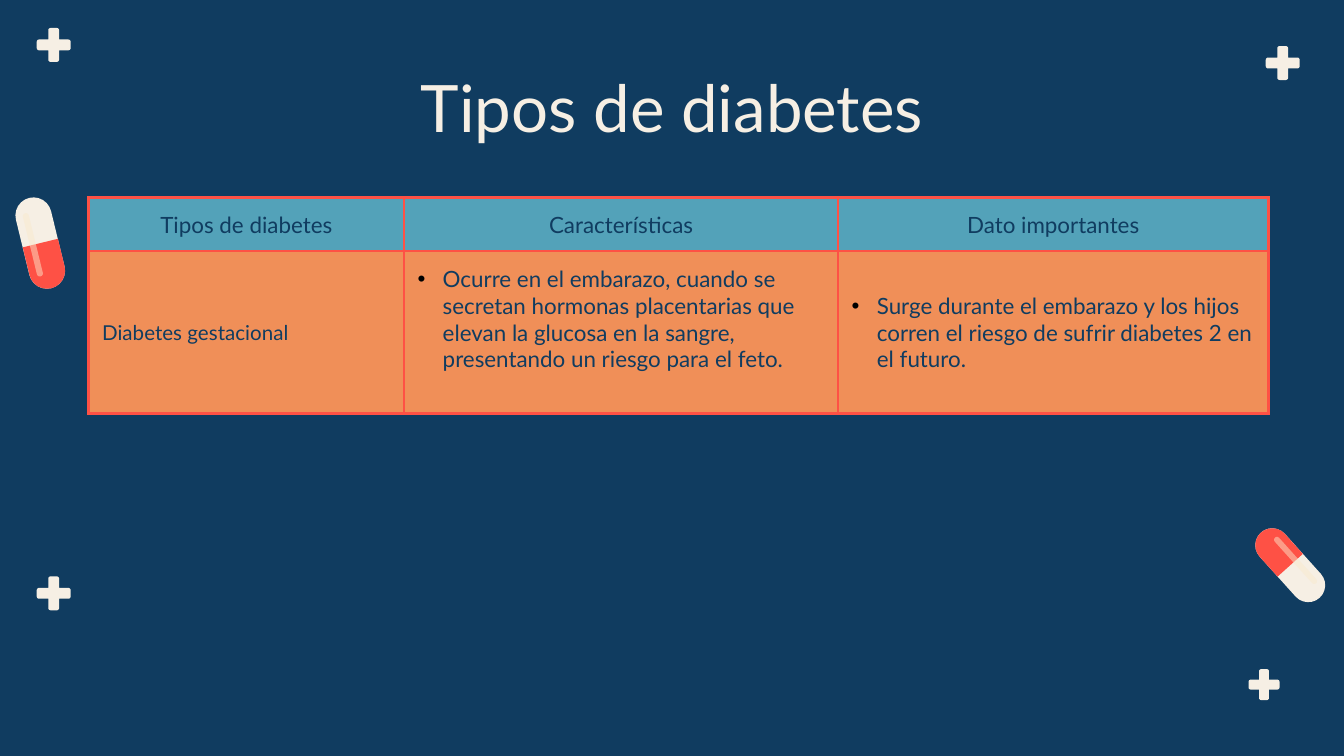
from dataclasses import dataclass
from math import cos, pi, radians, sin

from lxml import etree
from pptx import Presentation
from pptx.dml.color import RGBColor
from pptx.enum.shapes import MSO_SHAPE
from pptx.enum.text import MSO_ANCHOR, PP_ALIGN
from pptx.oxml.ns import qn
from pptx.util import Pt

NAVY = RGBColor(0x10, 0x3C, 0x60)
CREAM = RGBColor(0xF6, 0xEF, 0xE4)
RED = RGBColor(0xFE, 0x51, 0x45)
SAND = RGBColor(0xFA, 0xE9, 0xCD)
TEAL = RGBColor(0x53, 0xA2, 0xB9)
ORANGE = RGBColor(0xF0, 0x8F, 0x58)
BLACK = RGBColor(0, 0, 0)

LEFT, CENTER = PP_ALIGN.LEFT, PP_ALIGN.CENTER
MIDDLE = MSO_ANCHOR.MIDDLE
ROUND = MSO_SHAPE.ROUNDED_RECTANGLE
HALF = MSO_SHAPE.ROUND_2_SAME_RECTANGLE

FONT = "Lato"
PAD = 7.2


@dataclass
class Plus:
    x: float  # centre
    y: float
    size: float


@dataclass
class Pill:
    x: float  # centre
    y: float
    width: float
    length: float
    turn: float  # degrees; the red half is at the bottom before turning


@dataclass
class Cell:
    text: str
    fill: RGBColor
    size: float = 12
    align: PP_ALIGN = LEFT
    bullet: bool = False
    foot: float = PAD


PLUSES = [
    Plus(687.2, 33.8, 18.2),
    Plus(677.2, 366.8, 16.6),
    Plus(28.8, 317.9, 18.2),
    Plus(28.8, 24.1, 18.2),
]
PILLS = [
    Pill(691.2, 302.8, 18.2, 47, 138),
    Pill(21.6, 130.2, 19.4, 49.8, -13.7),
]
HEADS = ["Tipos de diabetes", "Características", "Dato importantes"]
ROWS = [
    [Cell(head, TEAL, align=CENTER) for head in HEADS],
    [
        Cell("Diabetes gestacional", ORANGE, size=11),
        Cell("Ocurre en el embarazo, cuando se secretan hormonas placentarias "
             "que elevan la glucosa en la sangre, presentando un riesgo para "
             "el feto.", ORANGE, bullet=True, foot=PAD + 14.4),
        Cell("Surge durante el embarazo y los hijos corren el riesgo de sufrir "
             "diabetes 2 en el futuro.", ORANGE, bullet=True),
    ],
]
WIDTHS = [169, 232.6, 230.4]
HEIGHTS = [28.4, 86.8]


def add_color(node, color: RGBColor, alpha: int = 100) -> None:
    tint = etree.SubElement(node, qn("a:srgbClr"), val=str(color))
    if alpha < 100:
        etree.SubElement(tint, qn("a:alpha"), val=str(alpha * 1000))


def paint(shape, color: RGBColor, alpha: int = 100) -> None:
    shape.shadow.inherit = False
    shape.line.fill.background()
    shape.fill.solid()
    shape.fill.fore_color.rgb = color
    if alpha < 100:
        fill = shape._element.spPr.find(qn("a:solidFill"))
        fill.clear()
        add_color(fill, color, alpha)


def write(frame, text: str, *, size: float, color: RGBColor,
          align: PP_ALIGN = LEFT, bullet: bool = False) -> None:
    frame.word_wrap = True
    para = frame.paragraphs[0]
    para.alignment = align
    run = para.add_run()
    run.text = text
    run.font.name = FONT
    run.font.size = Pt(size)
    run.font.color.rgb = color
    if bullet:
        props = para._p.get_or_add_pPr()
        props.set("marL", str(Pt(13.5)))
        props.set("indent", str(-Pt(13.5)))
        add_color(etree.SubElement(props, qn("a:buClr")), BLACK)
        etree.SubElement(props, qn("a:buFont"), typeface="Arial")
        etree.SubElement(props, qn("a:buChar"), char="•")


def draw_plus(shapes, plus: Plus) -> None:
    end, arm, curve = plus.size / 2, plus.size * 0.16, plus.size * 0.07
    points = []
    for turn in range(4):
        c, s = round(cos(turn * pi / 2)), round(sin(turn * pi / 2))
        side = [(arm, -arm)]
        # Two rounded corners at the tip of each arm
        for sign in (-1, 1):
            for step in range(5):
                part = step if sign > 0 else 4 - step
                angle = sign * part * pi / 8
                side.append((end - curve + curve * cos(angle),
                             sign * (arm - curve) + curve * sin(angle)))
        points += [(Pt(plus.x + x * c - y * s), Pt(plus.y + x * s + y * c))
                   for x, y in side]
    pen = shapes.build_freeform(*points[0])
    pen.add_line_segments(points[1:])
    paint(pen.convert_to_shape(), CREAM)


def draw_pill(shapes, pill: Pill) -> None:
    c, s = cos(radians(pill.turn)), sin(radians(pill.turn))

    def part(kind, dx: float, dy: float, width: float, height: float,
             color: RGBColor, alpha: int = 100, flip: int = 0) -> None:
        x, y = pill.x + dx * c - dy * s, pill.y + dx * s + dy * c
        shape = shapes.add_shape(kind, Pt(x - width / 2), Pt(y - height / 2),
                                 Pt(width), Pt(height))
        shape.adjustments[0] = 0.5
        shape.rotation = pill.turn + flip
        paint(shape, color, alpha)

    wide, long = pill.width, pill.length
    part(ROUND, 0, 0, wide, long, CREAM)
    part(HALF, 0, long / 4, wide, long / 2, RED, flip=180)
    part(ROUND, -0.21 * wide, 0, 0.17 * wide, 0.7 * long, SAND, alpha=49)


def add_border(cell) -> None:
    props = cell._tc.get_or_add_tcPr()
    for spot, name in enumerate(("a:lnL", "a:lnR", "a:lnT", "a:lnB")):
        line = etree.Element(qn(name), w=str(Pt(1.5)))
        add_color(etree.SubElement(line, qn("a:solidFill")), RED)
        props.insert(spot, line)


def draw_table(shapes, rows: list[list[Cell]]) -> None:
    table = shapes.add_table(len(rows), len(WIDTHS), Pt(47.5), Pt(105.8),
                             Pt(sum(WIDTHS)), Pt(sum(HEIGHTS))).table
    table.first_row = table.horz_banding = False
    for column, width in zip(table.columns, WIDTHS):
        column.width = Pt(width)
    for r, row in enumerate(rows):
        table.rows[r].height = Pt(HEIGHTS[r])
        for n, item in enumerate(row):
            cell = table.cell(r, n)
            cell.margin_left = cell.margin_right = cell.margin_top = Pt(PAD)
            cell.margin_bottom = Pt(item.foot)
            cell.vertical_anchor = MIDDLE
            cell.fill.solid()
            cell.fill.fore_color.rgb = item.fill
            add_border(cell)
            write(cell.text_frame, item.text, size=item.size, color=NAVY,
                  align=item.align, bullet=item.bullet)


def main() -> None:
    deck = Presentation()
    deck.slide_width, deck.slide_height = Pt(720), Pt(405)
    slide = deck.slides.add_slide(deck.slide_layouts[6])
    slide.background.fill.solid()
    slide.background.fill.fore_color.rgb = NAVY
    shapes = slide.shapes

    # Decoration
    for plus in PLUSES:
        draw_plus(shapes, plus)
    for pill in PILLS:
        draw_pill(shapes, pill)

    # Title
    frame = shapes.add_textbox(Pt(56.2), Pt(28.8), Pt(607.6), Pt(45.4)).text_frame
    frame.margin_left = frame.margin_right = Pt(PAD)
    frame.margin_top = frame.margin_bottom = Pt(PAD)
    write(frame, "Tipos de diabetes", size=35, color=CREAM, align=CENTER)

    # Table
    draw_table(shapes, ROWS)
    deck.save("out.pptx")


if __name__ == "__main__":
    main()
